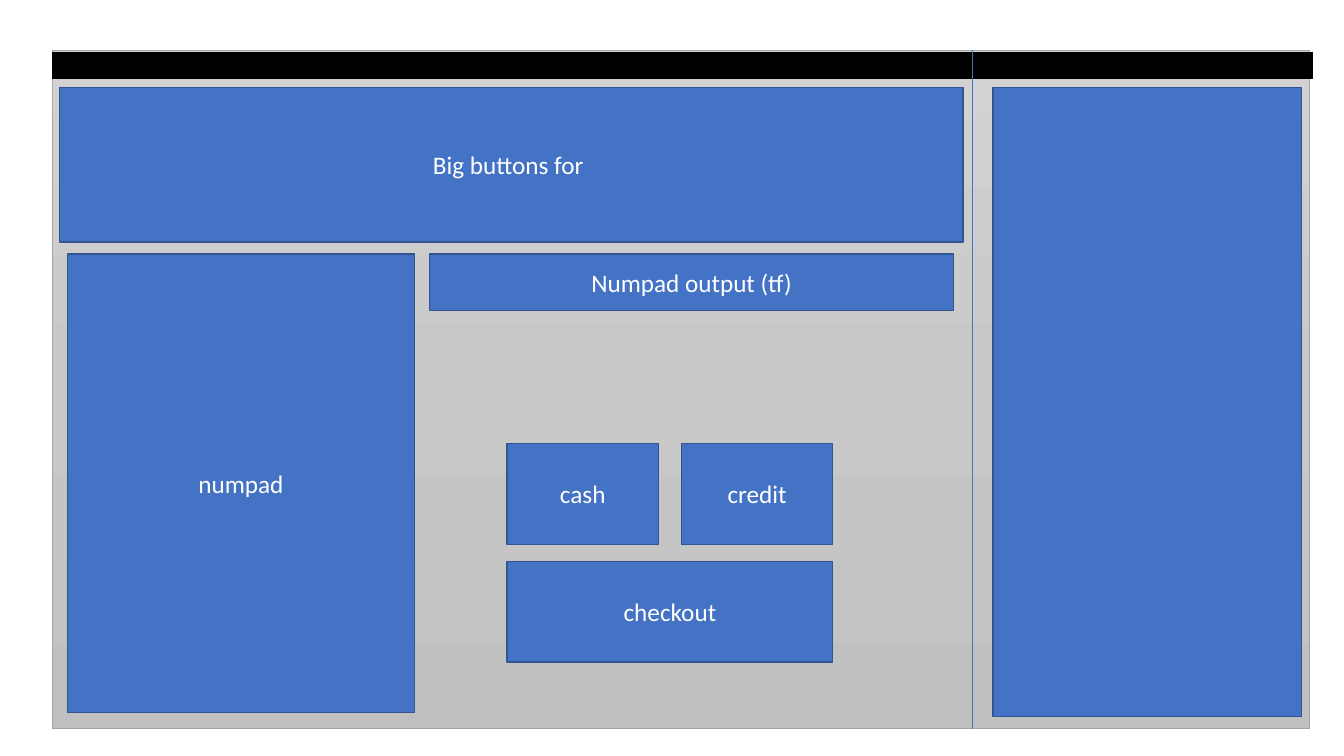
from copy import deepcopy

from lxml.etree import SubElement
from pptx import Presentation
from pptx.dml.color import RGBColor
from pptx.enum.shapes import MSO_CONNECTOR, MSO_SHAPE
from pptx.enum.text import MSO_ANCHOR, PP_ALIGN
from pptx.oxml.ns import qn
from pptx.util import Inches, Pt

BLUE = RGBColor(0x44, 0x72, 0xC4)
DARK_BLUE = RGBColor(0x32, 0x54, 0x91)
WHITE = RGBColor(0xFF, 0xFF, 0xFF)
BLACK = RGBColor(0x00, 0x00, 0x00)
GRAY = RGBColor(0xA5, 0xA5, 0xA5)
WINDOW_GRADIENT = [
    (0, RGBColor(0xD2, 0xD2, 0xD2)),
    (0.5, RGBColor(0xC8, 0xC8, 0xC8)),
    (1, RGBColor(0xC0, 0xC0, 0xC0)),
]


def add_rectangle(slide, box, line_color, line_width=1):
    shape = slide.shapes.add_shape(MSO_SHAPE.RECTANGLE, *map(Inches, box))
    shape.shadow.inherit = False
    shape.line.color.rgb = line_color
    shape.line.width = Pt(line_width)
    return shape


def add_panel(slide, box, text=""):
    shape = add_rectangle(slide, box, DARK_BLUE)
    shape.fill.solid()
    shape.fill.fore_color.rgb = BLUE
    if text:
        frame = shape.text_frame
        frame.word_wrap = True
        frame.vertical_anchor = MSO_ANCHOR.MIDDLE
        paragraph = frame.paragraphs[0]
        paragraph.text = text
        paragraph.alignment = PP_ALIGN.CENTER
        paragraph.font.name = "Calibri"
        paragraph.font.size = Pt(18)
        paragraph.font.color.rgb = WHITE


def add_window(slide, box, divider_offset):
    left, top, width, height = box
    window = add_rectangle(slide, box, GRAY, 0.5)
    window.fill.gradient()
    window.fill.gradient_angle = 270
    stop_list = window._element.spPr.find(".//" + qn("a:gsLst"))
    stop_list.insert(1, deepcopy(stop_list[0]))
    for stop, (position, color) in zip(window.fill.gradient_stops, WINDOW_GRADIENT):
        stop.position = position
        stop.color.rgb = color

    title_bar = add_rectangle(slide, (left, top + 0.02, width + 0.03, 0.26), BLACK)
    title_bar.fill.solid()
    title_bar.fill.fore_color.rgb = BLACK

    divider_x = Inches(left + divider_offset)
    divider = slide.shapes.add_connector(
        MSO_CONNECTOR.STRAIGHT, divider_x, Inches(top), divider_x, Inches(top + height)
    )
    divider.line.color.rgb = BLUE
    divider.line.width = Pt(0.5)
    SubElement(divider._element.spPr, qn("a:effectLst"))


def add_entry_area(slide, box):
    left, top, width, height = box
    lower_top = top + 1.65
    add_panel(slide, (left, top, width, 1.53), "Big buttons for ")
    add_panel(slide, (left + 0.08, lower_top, 3.44, height - 1.65), "numpad")
    add_panel(slide, (left + 3.67, lower_top, 5.2, 0.56), "Numpad output (tf)")


def add_payment_buttons(slide, box):
    left, top, width, height = box
    button_width, button_height = 1.5, 1
    for index, label in enumerate(["cash", "credit"]):
        button_left = left + index * (width - button_width)
        add_panel(slide, (button_left, top, button_width, button_height), label)
    checkout_top = top + height - button_height
    add_panel(slide, (left, checkout_top, width, button_height), "checkout")


def build_register_slide(presentation):
    slide = presentation.slides.add_slide(presentation.slide_layouts[6])
    add_window(slide, (0.52, 0.5, 12.47, 6.73), 9.12)
    add_entry_area(slide, (0.59, 0.87, 8.96, 6.2))
    add_panel(slide, (9.85, 0.87, 3.06, 6.24))
    add_payment_buttons(slide, (5.03, 4.4, 3.23, 2.17))


presentation = Presentation()
presentation.slide_width = Inches(13.33)
presentation.slide_height = Inches(7.5)
build_register_slide(presentation)
presentation.save("out.pptx")
